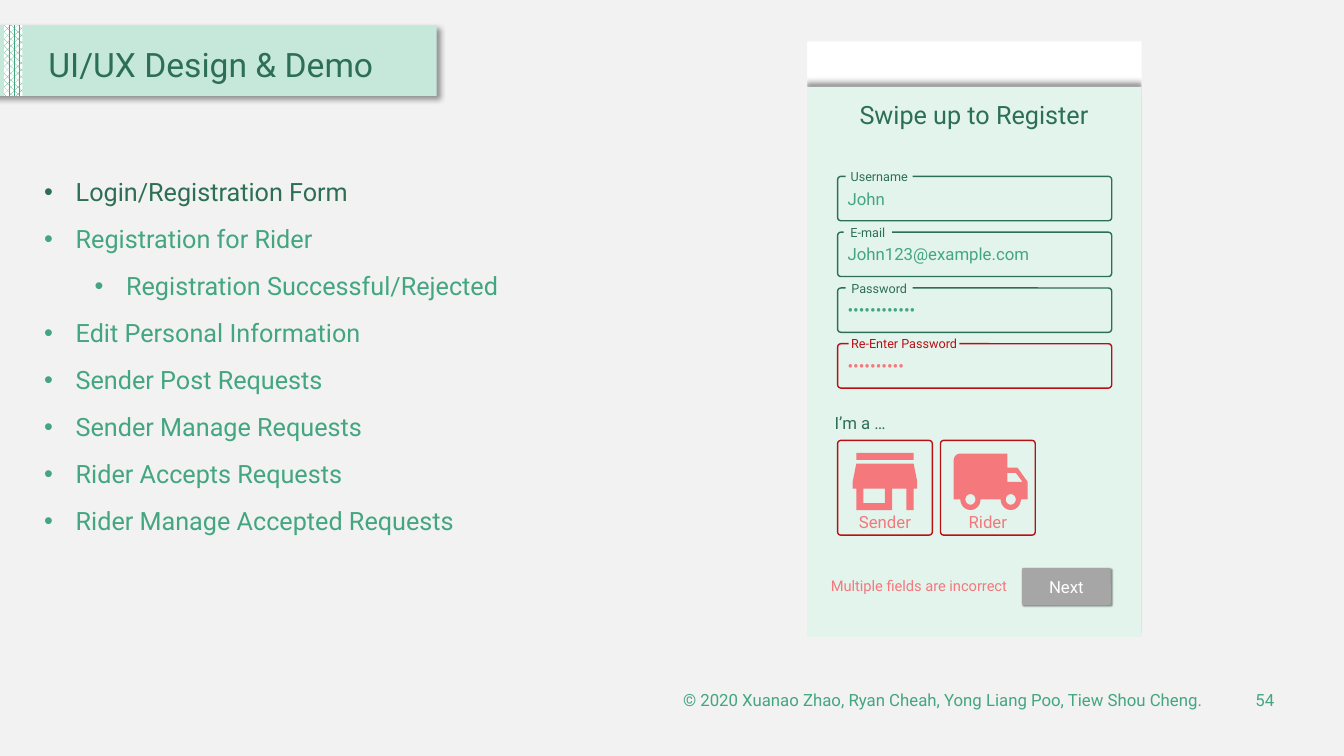
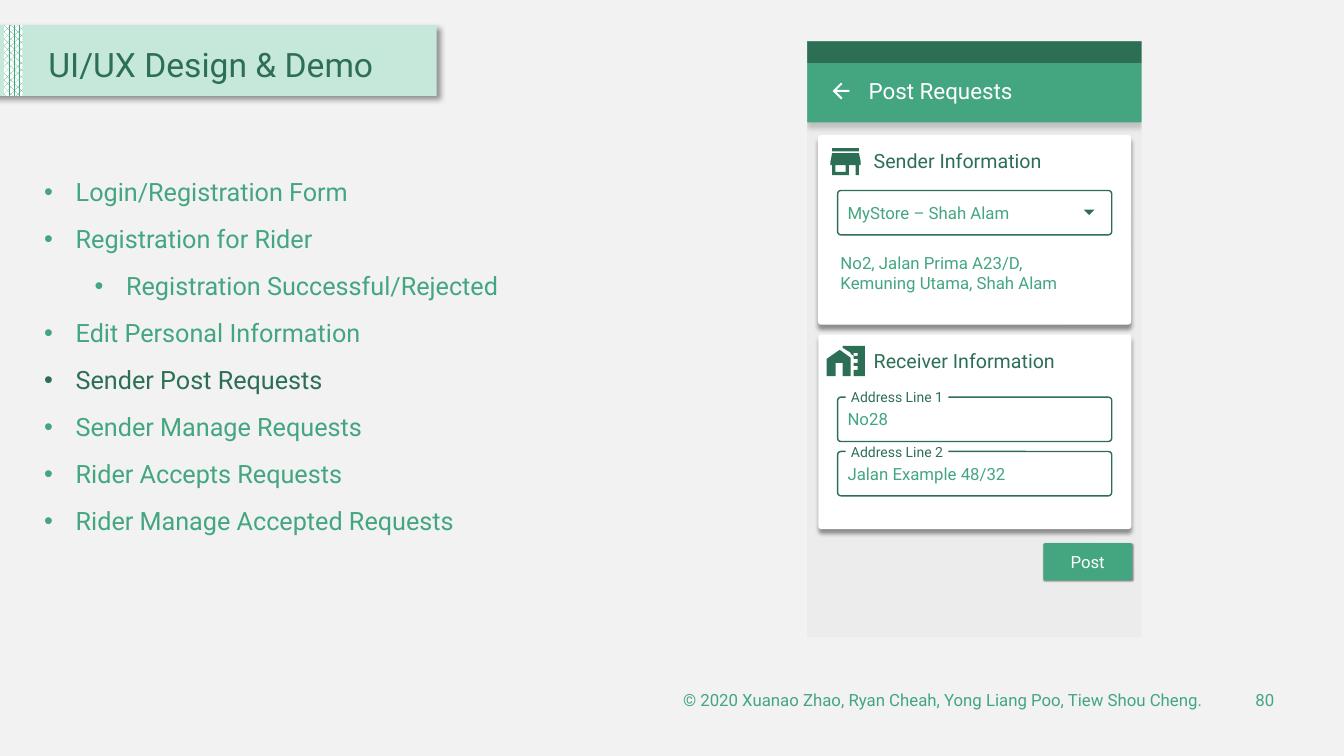
from dataclasses import dataclass
from math import cos, radians, sin
from typing import NamedTuple

from lxml.etree import SubElement
from pptx import Presentation
from pptx.dml.color import RGBColor
from pptx.enum.dml import MSO_PATTERN as Weave
from pptx.enum.shapes import MSO_SHAPE as Form
from pptx.enum.text import MSO_ANCHOR as Hold, MSO_AUTO_SIZE as Auto, PP_ALIGN as Align
from pptx.oxml.ns import qn
from pptx.util import Pt

FONT = "Roboto"
PAPER, WHITE, BLACK, GREY, ASH = "F2F2F2", "FFFFFF", "000000", "A6A6A6", "ECECEC"
MINT, PALE, GREEN, DARK = "C6E8DB", "E3F4ED", "43A680", "2D6F55"
RED, CORAL = "B90F14", "F4787C"
PHONE_X, PHONE_Y, PHONE_W, PHONE_END = 576.5, 29.5, 239.5, 455
FIELD_X, FIELD_W, FIELD_H = 598.3, 195.8, 31.7
TILE = 67.7
TITLE = "UI/UX Design & Demo"
OWNERS = "© 2020 Xuanao Zhao, Ryan Cheah, Yong Liang Poo, Tiew Shou Cheng."
TOPICS = [
    (0, "Login/Registration Form"),
    (0, "Registration for Rider"),
    (1, "Registration Successful/Rejected"),
    (0, "Edit Personal Information"),
    (0, "Sender Post Requests"),
    (0, "Sender Manage Requests"),
    (0, "Rider Accepts Requests"),
    (0, "Rider Manage Accepted Requests"),
]


class Area(NamedTuple):
    x: float
    y: float
    w: float
    h: float


class Shade(NamedTuple):
    blur: float
    gap: float
    angle: int
    tint: str = BLACK


@dataclass
class Look:
    size: float = 12
    tint: str = GREEN
    align: Align = Align.LEFT
    hold: Hold = Hold.TOP
    wrap: bool = True


@dataclass
class Field:
    y: float
    text: str
    label: str = ""
    patch: Area = Area(0, 0, 0, 0)
    size: float = 9
    line: str = DARK
    tint: str = GREEN
    back: str = PALE


@dataclass
class Tile:
    x: float
    label: str
    icon: list
    area: Area


@dataclass
class Card:
    area: Area
    label: str
    icon: list
    mark: Area


def arc(x: float, y: float, r: float, start: int, end: int) -> list:
    turns = [radians(start + (end - start) * k / 24) for k in range(25)]
    return [(x + r * cos(t), y + r * sin(t)) for t in turns]


def rect(x: float, y: float, w: float, h: float) -> list:
    return [(x, y), (x + w, y), (x + w, y + h), (x, y + h)]


STORE = [
    rect(4, 4, 16, 2),
    [(21, 14), (21, 12), (20, 7), (4, 7), (3, 12), (3, 14), (4, 14), (4, 20),
     (14, 20), (14, 14), (18, 14), (18, 20), (20, 20), (20, 14)],
    rect(6, 14, 6, 4),
]
TRUCK = [
    [(20, 8), (17, 8), (17, 4)] + arc(3, 6, 2, 270, 180) + [(1, 17)]
    + arc(6, 17, 3, 180, 0) + arc(18, 17, 3, 180, 0) + [(23, 17), (23, 12)],
    arc(6, 17, 1.5, 0, 360),
    arc(18, 17, 1.5, 0, 360),
    [(19.5, 9.5), (21.5, 12), (17, 12), (17, 9.5)],
]
HOUSE = [
    [(13, 4), (0, 13), (0, 30), (9, 30), (9, 17), (16, 17), (16, 30), (24, 30), (24, 12)],
    [(16, 0), (16, 2), (24, 7), (24, 8), (27, 10), (27, 13), (31, 13), (31, 17),
     (27, 17), (27, 20), (31, 20), (31, 24), (27, 24), (27, 30), (38, 30), (38, 0)],
    rect(27, 7, 4, 3),
]
BACK = [[(20, 11), (7.8, 11), (13.4, 5.4), (12, 4), (4, 12), (12, 20), (13.4, 18.6),
         (7.8, 13), (20, 13)]]
CARET = [[(0, 0), (1, 1), (2, 0)]]


def tint(code: str) -> RGBColor:
    return RGBColor.from_string(code)


def span(area: Area) -> list:
    return [Pt(v) for v in area]


def paint(shape, fill: str | None, line: str | None = None, shade: Shade | None = None) -> None:
    shape.shadow.inherit = False
    if fill:
        shape.fill.solid()
        shape.fill.fore_color.rgb = tint(fill)
    else:
        shape.fill.background()
    if line:
        shape.line.color.rgb = tint(line)
        shape.line.width = Pt(1)
    else:
        shape.line.fill.background()
    if shade:
        glow = SubElement(
            shape._element.spPr.find(qn("a:effectLst")), qn("a:outerShdw"),
            blurRad=str(Pt(shade.blur)), dist=str(Pt(shade.gap)),
            dir=str(shade.angle * 60000), algn="ctr", rotWithShape="0")
        ink = SubElement(glow, qn("a:srgbClr"), val=shade.tint)
        SubElement(ink, qn("a:alpha"), val="40000")


def box(page, area: Area, fill: str | None, line: str | None = None,
        shade: Shade | None = None, curve: float = 0):
    form = Form.ROUNDED_RECTANGLE if curve else Form.RECTANGLE
    shape = page.shapes.add_shape(form, *span(area))
    if curve:
        shape.adjustments[0] = curve
    paint(shape, fill, line, shade)
    return shape


def style(run, size: float, code: str) -> None:
    for key, value in {"name": FONT, "size": Pt(size), "bold": False}.items():
        setattr(run.font, key, value)
    run.font.color.rgb = tint(code)


def write(frame, text: str, look: Look, inset: float | None = None) -> None:
    values = {"word_wrap": look.wrap, "vertical_anchor": look.hold, "auto_size": Auto.NONE}
    if inset is not None:
        sides = ("left", "top", "right", "bottom")
        values |= {f"margin_{side}": Pt(inset) for side in sides}
    for key, value in values.items():
        setattr(frame, key, value)
    para = frame.paragraphs[0]
    para.alignment = look.align
    run = para.add_run()
    run.text = text
    style(run, look.size, look.tint)


def note(page, area: Area, text: str, look: Look) -> None:
    write(page.shapes.add_textbox(*span(area)).text_frame, text, look)


def draw(page, loops: list, area: Area, fill: str) -> None:
    xs, ys = zip(*(dot for loop in loops for dot in loop))
    wide, tall = area.w / (max(xs) - min(xs)), area.h / (max(ys) - min(ys))
    paths = [[(Pt(area.x + (x - min(xs)) * wide), Pt(area.y + (y - min(ys)) * tall))
              for x, y in loop] for loop in loops]
    pen = page.shapes.build_freeform(*paths[0][0], scale=1.0)
    for count, path in enumerate(paths):
        if count:
            pen.move_to(*path[0])
        pen.add_line_segments(path[1:], close=True)
    paint(pen.convert_to_shape(), fill)


def field(page, item: Field) -> None:
    box(page, Area(FIELD_X, item.y, FIELD_W, FIELD_H), None, item.line, curve=0.075)
    if item.label:
        patch = box(page, item.patch._replace(y=item.y - 5, h=10), item.back)
        look = Look(item.size, item.line, Align.CENTER, Hold.MIDDLE, False)
        write(patch.text_frame, item.label, look, 0)
    note(page, Area(FIELD_X, item.y + 5, 192, 21.6), item.text, Look(tint=item.tint))


def button(page, x: float, y: float, text: str, fill: str) -> None:
    shape = box(page, Area(x, y, 63.4, 26.6), fill, shade=Shade(1, 1, 45), curve=0.046)
    write(shape.text_frame, text, Look(12, WHITE, Align.CENTER, Hold.MIDDLE), 0)


def mask(page) -> None:
    end = PHONE_X + PHONE_W - 0.5
    tall = PHONE_END - PHONE_Y + 20
    for area in (Area(PHONE_X - 20, PHONE_Y - 10, 20, tall),
                 Area(end, PHONE_Y - 10, 20, tall),
                 Area(PHONE_X - 20, PHONE_END, PHONE_W + 40, 15)):
        box(page, area, PAPER)


def brand(page, layout) -> None:
    band = box(page, Area(-15, 18, 327, 50.5), MINT, shade=Shade(4, 3, 45))
    strip = box(page, Area(3, 18, 13, 50.5), WHITE)
    strip.fill.patterned()
    strip.fill.pattern = Weave.PERCENT_70
    strip.fill.fore_color.rgb = tint(GREEN)
    strip.fill.back_color.rgb = tint(WHITE)
    for part in (band, strip):
        layout.shapes._spTree.append(part._element)


def topics(page, focus: int) -> None:
    frame = page.shapes.add_textbox(*span(Area(24.5, 122.4, 359, 266.4))).text_frame
    frame.word_wrap = True
    for count, (level, text) in enumerate(TOPICS):
        para = frame.add_paragraph() if count else frame.paragraphs[0]
        para.level = level
        props = para._p.get_or_add_pPr()
        props.set("marL", str(Pt(22.5 + 36 * level)))
        props.set("indent", str(Pt(-22.5)))
        SubElement(props, qn("a:buFont"), typeface="Arial")
        SubElement(props, qn("a:buChar"), char="•")
        if count:
            para.space_before = Pt(12)
        run = para.add_run()
        run.text = text
        style(run, 18, DARK if count == focus else GREEN)


def start(deck, layout, number: int, focus: int):
    page = deck.slides.add_slide(layout)
    title = page.shapes.title
    area = dict(zip(("left", "top", "width", "height"), span(Area(27.4, 26, 285, 43))))
    for key, value in area.items():
        setattr(title, key, value)
    write(title.text_frame, TITLE, Look(24, DARK, hold=Hold.MIDDLE))
    title.text_frame.paragraphs[0].line_spacing = 0.9
    look = Look(align=Align.RIGHT, hold=Hold.MIDDLE)
    note(page, Area(391.7, 485.3, 474.5, 28.8), OWNERS, look)
    note(page, Area(874.8, 485.3, 42.5, 28.8), str(number), look)
    topics(page, focus)
    return page


def sign_up(page) -> None:
    box(page, Area(PHONE_X, PHONE_Y, PHONE_W, 40), WHITE)
    box(page, Area(PHONE_X - 0.5, 62, PHONE_W, 393), PALE, shade=Shade(4, 3, 270))
    note(page, Area(PHONE_X - 0.5, 67.7, PHONE_W, 28.8), "Swipe up to Register",
         Look(18, DARK, Align.CENTER))
    mask(page)
    rows = [
        ("Username", 604, 48, "John", DARK, GREEN),
        ("E-mail", 602.6, 34.5, "John123@example.com", DARK, GREEN),
        ("Password", 604, 48, "••••••••••••", DARK, GREEN),
        ("Re-Enter Password", 606.2, 79.2, "••••••••••", RED, CORAL),
    ]
    for count, (label, x, wide, text, line, code) in enumerate(rows):
        field(page, Field(126 + 39.85 * count, text, label, Area(x, 0, wide, 0),
                          line=line, tint=code))
    note(page, Area(589, 291, 184, 21.6), "I’m a …", Look(tint=DARK))
    for tile in (Tile(FIELD_X, "Sender", STORE, Area(609.1, 323.5, 46.1, 41)),
                 Tile(671.8, "Rider", TRUCK, Area(681.2, 324, 52.8, 40.3))):
        shape = box(page, Area(tile.x, 314.6, TILE, TILE), None, RED, curve=0.034)
        write(shape.text_frame, tile.label, Look(12, CORAL, Align.CENTER, Hold.BOTTOM), 1.5)
        draw(page, tile.icon, tile.area, CORAL)
    button(page, 730, 405.6, "Next", GREY)
    note(page, Area(583.2, 408.2, 143.3, 20.2), "Multiple fields are incorrect",
         Look(10.5, CORAL, Align.RIGHT))


def post(page) -> None:
    box(page, Area(PHONE_X, PHONE_Y, PHONE_W, PHONE_END - PHONE_Y), ASH)
    for card in (Card(Area(584.3, 96.5, 223.7, 135.4), "Sender Information", STORE,
                      Area(593.2, 105.8, 21.6, 19.4)),
                 Card(Area(584.5, 239, 223.7, 139), "Receiver Information", HOUSE,
                      Area(590.5, 247, 27.2, 21.6))):
        box(page, card.area, WHITE, shade=Shade(3, 3, 90), curve=0.017)
        note(page, Area(617, card.area.y + 6.5, 160, 24.5), card.label, Look(14, DARK))
        draw(page, card.icon, card.mark, DARK)
    field(page, Field(136.1, "MyStore – Shah Alam"))
    draw(page, CARET, Area(774.2, 149.8, 7.5, 3.8), DARK)
    note(page, Area(593.3, 177, 184.3, 36), "No2, Jalan Prima A23/D, Kemuning Utama, Shah Alam",
         Look())
    for count, text in enumerate(("No28", "Jalan Example 48/32")):
        field(page, Field(283.7 + 38.8 * count, text, f"Address Line {count + 1}",
                          Area(604, 0, 73.4, 0), 10, back=WHITE))
    button(page, 745.2, 388, "Post", GREEN)
    box(page, Area(PHONE_X, PHONE_Y, PHONE_W, 58), GREEN, shade=Shade(4, 4, 90, "808080"))
    box(page, Area(PHONE_X, PHONE_Y, PHONE_W, 15.5), DARK)
    note(page, Area(613.4, 51.1, 150, 26.6), "Post Requests", Look(16, WHITE, hold=Hold.MIDDLE))
    draw(page, BACK, Area(594.7, 59, 12, 12), WHITE)
    mask(page)


def main() -> None:
    deck = Presentation()
    deck.slide_width, deck.slide_height = Pt(960), Pt(540)
    ground = deck.slide_master.background.fill
    ground.solid()
    ground.fore_color.rgb = tint(PAPER)
    layout = deck.slide_layouts[5]
    first = start(deck, layout, 54, 0)
    brand(first, layout)
    sign_up(first)
    post(start(deck, layout, 80, 4))
    deck.save("out.pptx")


if __name__ == "__main__":
    main()
